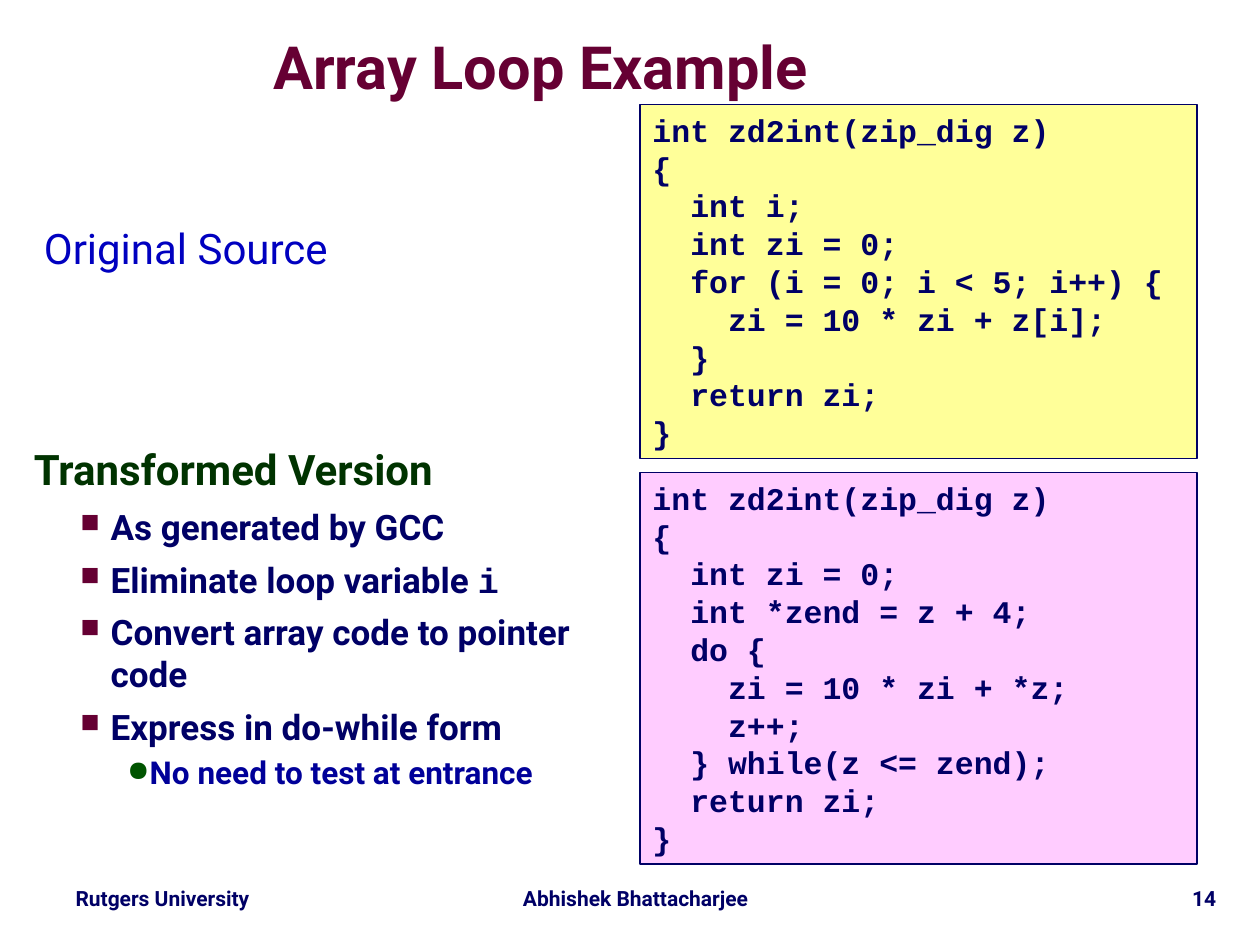
from dataclasses import dataclass

from lxml.etree import SubElement
from pptx import Presentation
from pptx.dml.color import RGBColor
from pptx.enum.text import MSO_ANCHOR, PP_ALIGN
from pptx.enum.shapes import MSO_SHAPE
from pptx.oxml.ns import qn
from pptx.slide import Slide
from pptx.text.text import TextFrame, _Paragraph
from pptx.util import Inches, Pt


@dataclass(frozen=True)
class Theme:
    text_font: str = "Roboto"
    code_font: str = "Courier New"
    navy: str = "000066"
    maroon: str = "660033"
    blue: str = "0000C0"
    forest: str = "003300"
    green: str = "005400"
    indigo: str = "000099"
    yellow: str = "FFFF99"
    pink: str = "FFCCFF"
    title_size: int = 34
    heading_size: int = 24
    point_size: int = 20
    detail_size: int = 18
    code_size: int = 18
    footer_size: int = 12


THEME = Theme()


@dataclass(frozen=True)
class Area:
    left: float
    top: float
    width: float
    height: float

    def lengths(self) -> list[int]:
        return [Inches(value) for value in (self.left, self.top, self.width, self.height)]


@dataclass(frozen=True)
class Bullet:
    symbol: str
    color: str
    percent: int
    margin: float
    hanging: float


@dataclass(frozen=True)
class TextStyle:
    size: int
    color: str
    bold: bool = True
    font: str = THEME.text_font
    align: PP_ALIGN = PP_ALIGN.LEFT
    line_spacing: float = 1.0
    space_before: float = 0
    bullet: Bullet | None = None
    level: int = 0


@dataclass(frozen=True)
class CodePanel:
    area: Area
    fill: str
    code: str


@dataclass(frozen=True)
class FooterItem:
    area: Area
    text: str
    align: PP_ALIGN


TITLE = TextStyle(THEME.title_size, THEME.maroon, align=PP_ALIGN.CENTER, line_spacing=0.87)
SOURCE_HEADING = TextStyle(THEME.heading_size, THEME.blue, bold=False, line_spacing=0.95)
VERSION_HEADING = TextStyle(THEME.heading_size, THEME.forest, line_spacing=0.95)
POINT = TextStyle(
    THEME.point_size, THEME.navy, space_before=6, level=1,
    bullet=Bullet("■", THEME.maroon, 75, 0.61, 0.24),
)
DETAIL = TextStyle(
    THEME.detail_size, THEME.indigo, line_spacing=1.07, space_before=2, level=2,
    bullet=Bullet("●", THEME.green, 90, 0.92, 0.18),
)
CODE = TextStyle(THEME.code_size, THEME.navy, font=THEME.code_font)

VERSION_LINES = [
    (VERSION_HEADING, ["Transformed Version"]),
    (POINT, ["As generated by GCC"]),
    (POINT, ["Eliminate loop variable ", "i"]),
    (POINT, ["Convert array code to pointer code"]),
    (POINT, ["Express in do-while form"]),
    (DETAIL, ["No need to test at entrance"]),
]

CODE_PANELS = [
    CodePanel(Area(5.08, 0.83, 4.42, 2.81), THEME.yellow, """\
int zd2int(zip_dig z)
{
  int i;
  int zi = 0;
  for (i = 0; i < 5; i++) {
    zi = 10 * zi + z[i];
  }
  return zi;
}"""),
    CodePanel(Area(5.08, 3.75, 4.42, 3.11), THEME.pink, """\
int zd2int(zip_dig z)
{
  int zi = 0;
  int *zend = z + 4;
  do {
    zi = 10 * zi + *z;
    z++;
  } while(z <= zend);
  return zi;
}"""),
]

FOOTER = [
    FooterItem(Area(0.33, 7, 1.92, 0.28), "Rutgers University", PP_ALIGN.CENTER),
    FooterItem(Area(3.92, 7, 2.25, 0.28), "Abhishek Bhattacharjee", PP_ALIGN.CENTER),
    FooterItem(Area(8.17, 7, 1.58, 0.3), "14", PP_ALIGN.RIGHT),
]


def add_bullet(para: _Paragraph, bullet: Bullet) -> None:
    properties = para._p.get_or_add_pPr()
    properties.set("marL", str(Inches(bullet.margin)))
    properties.set("indent", str(-Inches(bullet.hanging)))
    color = SubElement(properties, qn("a:buClr"))
    SubElement(color, qn("a:srgbClr"), val=bullet.color)
    SubElement(properties, qn("a:buSzPct"), val=str(bullet.percent * 1000))
    SubElement(properties, qn("a:buChar"), char=bullet.symbol)


def write_lines(frame: TextFrame, lines: list[tuple[TextStyle, list[str]]]) -> None:
    frame.word_wrap = True
    for index, (style, texts) in enumerate(lines):
        para = frame.add_paragraph() if index else frame.paragraphs[0]
        para.level = style.level
        if style.bullet:
            add_bullet(para, style.bullet)
        para.alignment = style.align
        para.line_spacing = style.line_spacing
        para.space_before = Pt(style.space_before)
        para.font.name = style.font
        para.font.size = Pt(style.size)
        para.font.bold = style.bold
        para.font.color.rgb = RGBColor.from_string(style.color)
        for position, text in enumerate(texts):
            span = para.add_run()
            span.text = text
            if position:
                span.font.name = THEME.code_font


def add_text(page: Slide, area: Area, lines: list[tuple[TextStyle, list[str]]]) -> None:
    box = page.shapes.add_textbox(*area.lengths())
    write_lines(box.text_frame, lines)


def add_code(page: Slide, panel: CodePanel) -> None:
    box = page.shapes.add_shape(MSO_SHAPE.RECTANGLE, *panel.area.lengths())
    box.shadow.inherit = False
    box.fill.solid()
    box.fill.fore_color.rgb = RGBColor.from_string(panel.fill)
    box.line.color.rgb = RGBColor.from_string(THEME.navy)
    box.line.width = Pt(1)
    box.text_frame.vertical_anchor = MSO_ANCHOR.TOP
    write_lines(box.text_frame, [(CODE, [line]) for line in panel.code.splitlines()])


def add_title(page: Slide, area: Area, text: str) -> None:
    title = page.shapes.title
    title.left, title.top, title.width, title.height = area.lengths()
    frame = title.text_frame
    frame.margin_left = frame.margin_right = frame.margin_top = frame.margin_bottom = 0
    frame.vertical_anchor = MSO_ANCHOR.MIDDLE
    write_lines(frame, [(TITLE, [text])])


def main() -> None:
    deck = Presentation()
    deck.slide_width, deck.slide_height = Inches(10), Inches(7.5)
    page = deck.slides.add_slide(deck.slide_layouts[5])
    add_title(page, Area(0.25, 0.25, 8.08, 0.63), "Array Loop Example")
    add_text(page, Area(0.25, 1.75, 4.42, 2.38), [(SOURCE_HEADING, ["Original Source"])])
    add_text(page, Area(0.17, 3.5, 4.5, 3.08), VERSION_LINES)
    for panel in CODE_PANELS:
        add_code(page, panel)
    for item in FOOTER:
        style = TextStyle(THEME.footer_size, THEME.navy, align=item.align, line_spacing=0.9)
        add_text(page, item.area, [(style, [item.text])])
    deck.save("out.pptx")


if __name__ == "__main__":
    main()
